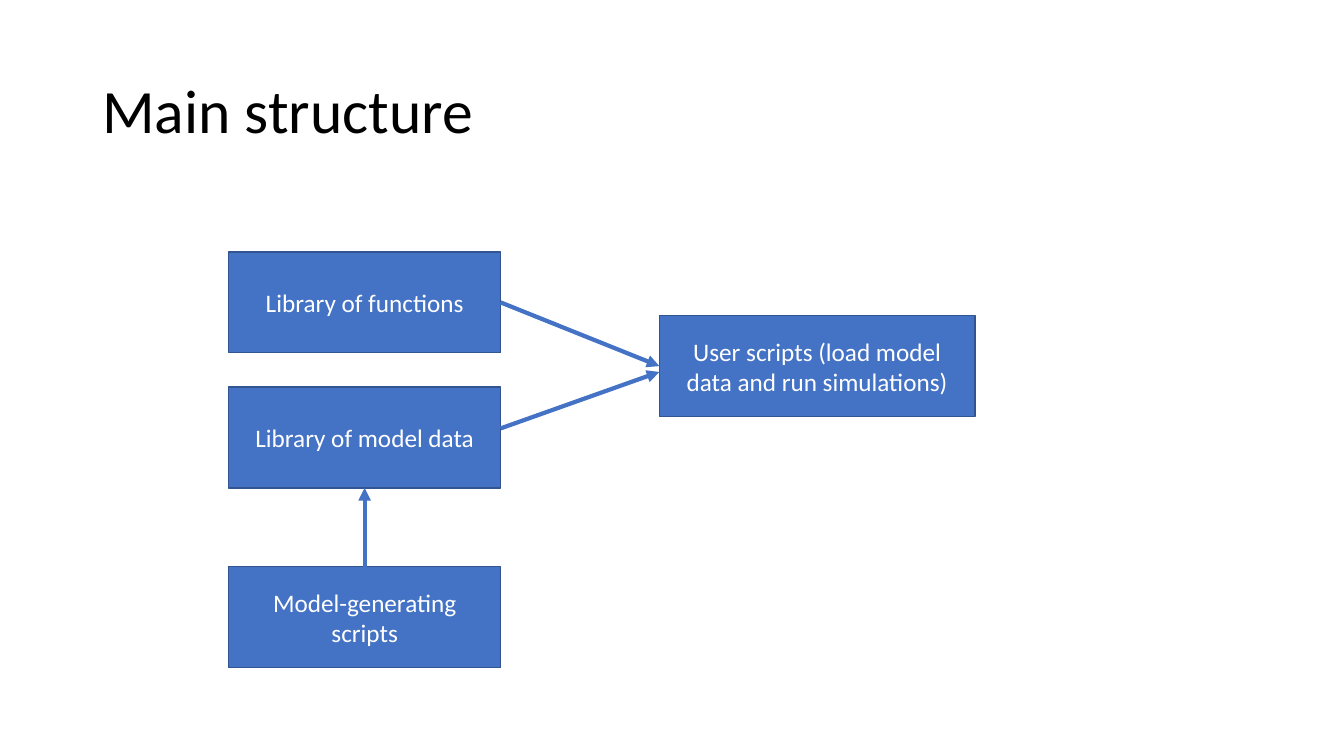
from pptx import Presentation
from pptx.dml.color import RGBColor
from pptx.enum import shapes, text
from pptx.oxml.ns import qn
from pptx.util import Pt
from lxml import etree

BLACK = RGBColor(0x00, 0x00, 0x00)
WHITE = RGBColor(0xFF, 0xFF, 0xFF)
BLUE = RGBColor(0x44, 0x72, 0xC4)
DARK_BLUE = RGBColor(0x32, 0x54, 0x91)

FONT = "Calibri"
BOX_HEIGHT = 72
LIBRARY_LEFT, LIBRARY_WIDTH = 163.4, 194.2
LIBRARY_RIGHT = LIBRARY_LEFT + LIBRARY_WIDTH
LIBRARY_CENTER = LIBRARY_LEFT + LIBRARY_WIDTH / 2
FUNCTIONS_TOP, MODEL_DATA_TOP, GENERATORS_TOP = 180, 276.5, 404.8
USER_LEFT, USER_TOP, USER_WIDTH = 471, 225.5, 225.4


def style_paragraph(paragraph, size, color):
    paragraph.font.name = FONT
    paragraph.font.size = Pt(size)
    paragraph.font.color.rgb = color


def add_title(slide, wording):
    title = slide.shapes.add_textbox(Pt(66), Pt(28.8), Pt(828), Pt(104.4))
    frame = title.text_frame
    frame.word_wrap = True
    frame.vertical_anchor = text.MSO_ANCHOR.MIDDLE
    frame.text = wording
    heading = frame.paragraphs[0]
    heading.line_spacing = 0.9
    style_paragraph(heading, 44, BLACK)


def add_box(slide, wording, left, top, width):
    box = slide.shapes.add_shape(
        shapes.MSO_SHAPE.RECTANGLE, Pt(left), Pt(top), Pt(width), Pt(BOX_HEIGHT))
    box.shadow.inherit = False
    box.fill.solid()
    box.fill.fore_color.rgb = BLUE
    box.line.color.rgb = DARK_BLUE
    box.line.width = Pt(1)
    frame = box.text_frame
    frame.word_wrap = True
    frame.vertical_anchor = text.MSO_ANCHOR.MIDDLE
    frame.text = wording
    label = frame.paragraphs[0]
    label.alignment = text.PP_ALIGN.CENTER
    style_paragraph(label, 18, WHITE)


def add_arrow(slide, start, end):
    """Draw a line from start to end, both (x, y), with a triangle at the end."""
    arrow = slide.shapes.add_connector(
        shapes.MSO_CONNECTOR.STRAIGHT, *(Pt(value) for value in (*start, *end)))
    arrow.line.color.rgb = BLUE
    arrow.line.width = Pt(3)
    properties = arrow._element.spPr
    outline = properties.find(qn("a:ln"))
    etree.SubElement(outline, qn("a:tailEnd"), type="triangle")
    etree.SubElement(properties, qn("a:effectLst"))


def main():
    presentation = Presentation()
    presentation.slide_width = Pt(960)
    presentation.slide_height = Pt(540)
    slide = presentation.slides.add_slide(presentation.slide_layouts[6])

    add_title(slide, "Main structure")
    for wording, top in (
        ("Library of functions", FUNCTIONS_TOP),
        ("Library of model data", MODEL_DATA_TOP),
        ("Model-generating scripts", GENERATORS_TOP),
    ):
        add_box(slide, wording, LIBRARY_LEFT, top, LIBRARY_WIDTH)
    add_box(slide, "User scripts (load model data and run simulations)",
            USER_LEFT, USER_TOP, USER_WIDTH)

    add_arrow(slide, (LIBRARY_RIGHT, FUNCTIONS_TOP + BOX_HEIGHT / 2),
              (USER_LEFT, USER_TOP + BOX_HEIGHT / 2))
    add_arrow(slide, (LIBRARY_RIGHT, 306), (USER_LEFT, 265.7))
    add_arrow(slide, (LIBRARY_CENTER, GENERATORS_TOP),
              (LIBRARY_CENTER, MODEL_DATA_TOP + BOX_HEIGHT))

    presentation.save("out.pptx")


if __name__ == "__main__":
    main()
